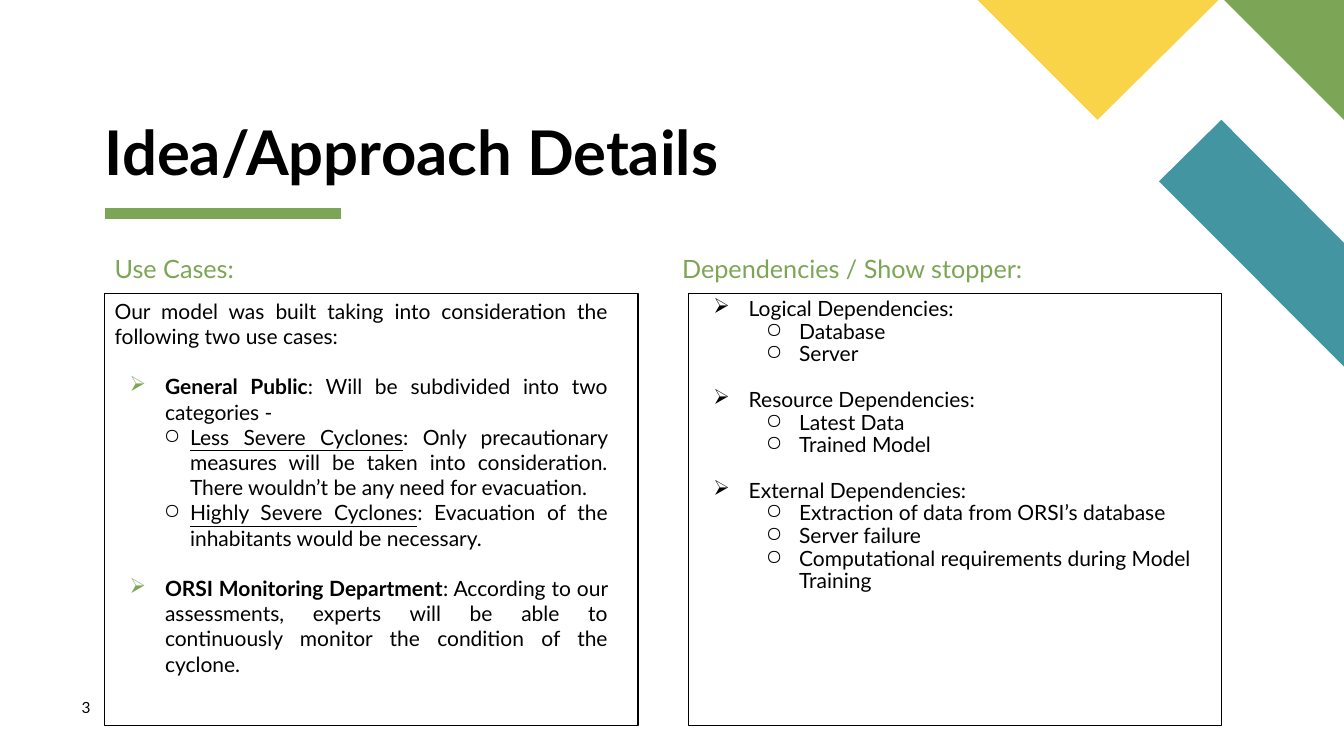
from lxml.etree import SubElement
from pptx import Presentation
from pptx.dml.color import RGBColor
from pptx.enum.shapes import MSO_CONNECTOR, MSO_SHAPE
from pptx.enum.text import MSO_ANCHOR, PP_ALIGN
from pptx.oxml.ns import qn
from pptx.util import Cm, Pt

# Content
FONT, BLACK, GREEN = "Lato", "000000", "7CA655"
TITLE, PAGE = "Idea/Approach Details", "3"

# Each item: level, lead words, rest, whether a gap stands above
CASES = [
    (0, "", "Our model was built taking into consideration the following two use cases:", False),
    (1, "General Public", ": Will be subdivided into two categories -", True),
    (2, "Less Severe Cyclones", ": Only precautionary measures will be taken into "
        "consideration. There wouldn’t be any need for evacuation.", False),
    (2, "Highly Severe Cyclones", ": Evacuation of the inhabitants would be necessary.", False),
    (1, "ORSI Monitoring Department", ": According to our assessments, experts will be "
        "able to continuously monitor the condition of the cyclone.", True),
]
NEEDS = {
    "Logical Dependencies:": ["Database", "Server"],
    "Resource Dependencies:": ["Latest Data", "Trained Model"],
    "External Dependencies:": ["Extraction of data from ORSI’s database", "Server failure",
                               "Computational requirements during Model Training"],
}
STOPS = []
for head, names in NEEDS.items():
    STOPS.append((1, "", head, bool(STOPS)))
    STOPS += [(2, "", name, False) for name in names]

# Heading, heading left, box left, right inset, items, alignment,
# line spacing, gap, arrow colour, (margin, indent) by level
PANELS = [
    ("Use Cases:", 2.64, 2.64, 0.76, CASES, PP_ALIGN.JUSTIFY, 1.0, 18, GREEN,
     [(0, 0), (1.27, -0.89), (1.9, -0.66)]),
    ("Dependencies / Show stopper:", 16.94, 17.35, 0.25, STOPS, PP_ALIGN.LEFT, 0.9, 16.2, BLACK,
     [(0, 0), (1.27, -0.89), (2.54, -0.84)]),
]
MARKS = ["", "➢", "○"]

# Corner shapes: colour, corners
CORNER = [
    ("4495A2", [(33.87, 9.24), (33.87, 6.12), (30.78, 3.02), (29.21, 4.57)]),
    (GREEN, [(33.87, 3.02), (33.87, 0), (30.85, 0)]),
    ("F9D448", [(24.64, 0), (27.66, 3.02), (30.71, 0)]),
]

deck = Presentation()
deck.slide_width, deck.slide_height = Cm(33.87), Cm(19.05)
slide = deck.slides.add_slide(deck.slide_layouts[6])
shapes = slide.shapes


def tint(hue):
    return RGBColor.from_string(hue)


def style(run, size, hue=BLACK, bold=False):
    font = run.font
    font.name, font.size, font.bold = FONT, Pt(size), bold
    font.color.rgb = tint(hue)


def inset(frame, left, top, right, low):
    frame.word_wrap = True
    frame.margin_left, frame.margin_top = Cm(left), Cm(top)
    frame.margin_right, frame.margin_bottom = Cm(right), Cm(low)


def label(text, x, y, w, h, size, hue=BLACK, bold=False, pad=(0, 0), line=1.0):
    frame = shapes.add_textbox(Cm(x), Cm(y), Cm(w), Cm(h)).text_frame
    inset(frame, *pad, *pad)
    frame.text = text
    para = frame.paragraphs[0]
    para.line_spacing = line
    style(para.runs[0], size, hue, bold)
    return frame


def bullet(para, mark, hue, left, hang):
    props = para._p.get_or_add_pPr()
    props.set("marL", str(Cm(left)))
    props.set("indent", str(Cm(hang)))
    if mark:
        color = SubElement(props, qn("a:buClr"))
        SubElement(color, qn("a:srgbClr")).set("val", hue)
        SubElement(props, qn("a:buChar")).set("char", mark)


# Corner decoration
for hue, spots in CORNER:
    spots = [(Cm(x), Cm(y)) for x, y in spots]
    form = shapes.build_freeform(*spots[0], scale=1.0)
    form.add_line_segments(spots[1:], close=True)
    patch = form.convert_to_shape()
    patch.shadow.inherit = False
    patch.fill.solid()
    patch.fill.fore_color.rgb = tint(hue)
    patch.line.fill.background()

# Title, rule and page number
title = label(TITLE, 2.64, 3.05, 16.05, 1.7, 44, bold=True, line=0.9)
title.vertical_anchor = MSO_ANCHOR.BOTTOM
rule = shapes.add_connector(MSO_CONNECTOR.STRAIGHT, Cm(2.64), Cm(5.38), Cm(8.59), Cm(5.38))
rule.line.color.rgb = tint(GREEN)
rule.line.width = Pt(8)
SubElement(rule._element.spPr, qn("a:effectLst"))
label(PAGE, 2.06, 17.58, 1.45, 0.69, 11)

# Two panels
for head, x, left, right, items, align, line, gap, arrow, steps in PANELS:
    label(head, x, 6.35, 13.44, 0.89, 18, GREEN, pad=(0.25, 0.13), line=0.9)
    box = shapes.add_shape(MSO_SHAPE.RECTANGLE, Cm(left), Cm(7.39), Cm(13.44), Cm(10.9))
    box.shadow.inherit = False
    box.fill.background()
    box.line.color.rgb = tint(BLACK)
    box.line.width = Pt(0.75)
    frame = box.text_frame
    frame.vertical_anchor = MSO_ANCHOR.TOP
    inset(frame, 0.25, 0.13, right, 0.13)
    for i, (level, lead, rest, space) in enumerate(items):
        para = frame.add_paragraph() if i else frame.paragraphs[0]
        para.level = max(level - 1, 0)
        para.alignment, para.line_spacing = align, line
        para.space_before = Pt(gap if space else 0)
        bullet(para, MARKS[level], arrow if level == 1 else BLACK, *steps[level])
        if lead:
            run = para.add_run()
            run.text = lead
            style(run, 15, bold=level == 1)
            run.font.underline = level == 2
        run = para.add_run()
        run.text = rest
        style(run, 15)

deck.save("out.pptx")
